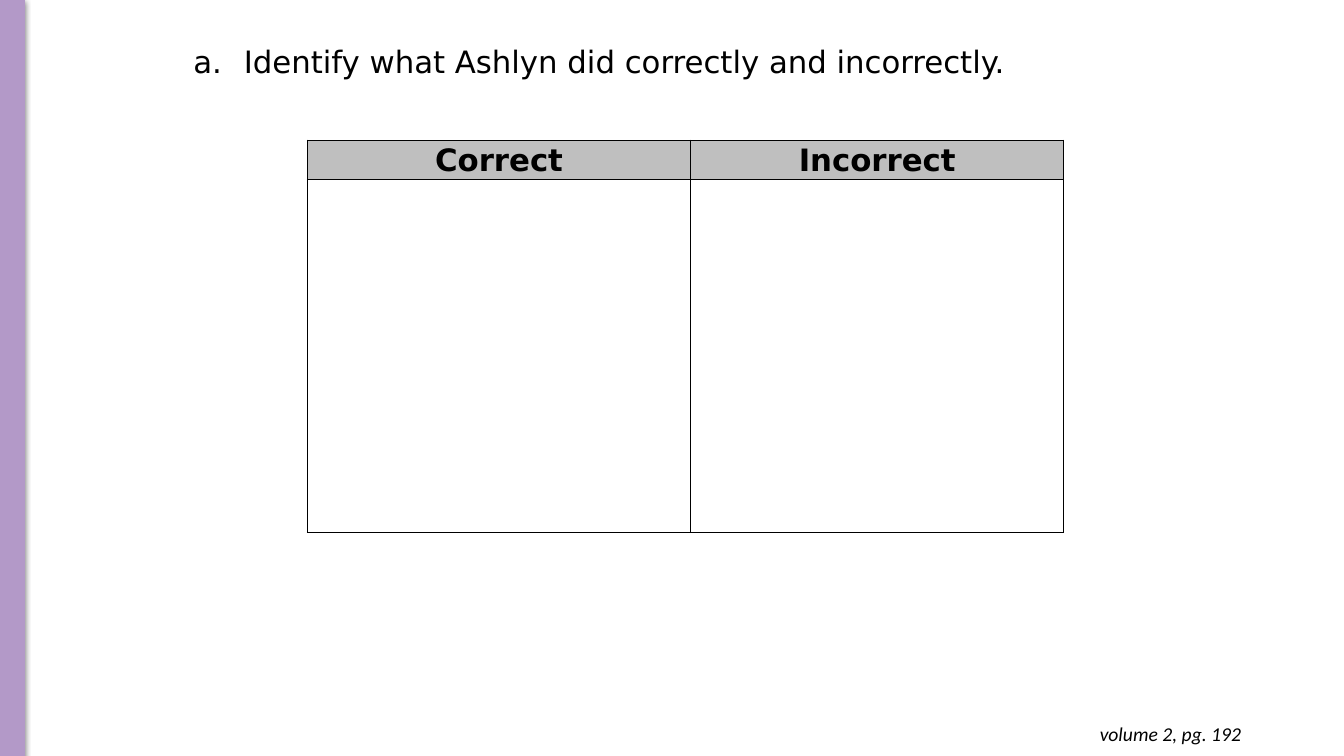
from lxml import etree
from pptx import Presentation
from pptx.dml.color import RGBColor
from pptx.enum.shapes import MSO_SHAPE
from pptx.enum.text import MSO_ANCHOR, MSO_AUTO_SIZE, PP_ALIGN
from pptx.oxml.ns import qn
from pptx.util import Inches, Pt

RECT = MSO_SHAPE.RECTANGLE
MIDDLE = MSO_ANCHOR.MIDDLE
GROW = MSO_AUTO_SIZE.SHAPE_TO_FIT_TEXT
LEFT, CENTER, RIGHT = PP_ALIGN.LEFT, PP_ALIGN.CENTER, PP_ALIGN.RIGHT

COLORS = {"band": "B399C8", "head": "BFBFBF", "ink": "000000"}


def add(parent, tag, **attrs):
    node = etree.SubElement(parent, qn(tag))
    for name, value in attrs.items():
        node.set(name, str(value))
    return node


class Page:
    """Holds the slide and its text style."""

    def __init__(self, slide, face, size):
        self.slide, self.face, self.size = slide, face, size

    def color(self, name):
        return RGBColor.from_string(COLORS[name])

    def style(self, para, align, face=None, size=None, bold=False, italic=False):
        para.alignment = align
        font = para.font
        font.name, font.size = face or self.face, Pt(size or self.size)
        font.bold, font.italic = bold, italic
        font.color.rgb = self.color("ink")

    def band(self, *box):
        shape = self.slide.shapes.add_shape(RECT, *map(Inches, box))
        shape.fill.solid()
        shape.fill.fore_color.rgb = self.color("band")
        shape.line.color.rgb = self.color("band")
        shape.line.width = Pt(0.75)
        shape.shadow.inherit = False
        effect = shape._element.spPr.find(qn("a:effectLst"))
        shadow = add(effect, "a:outerShdw", blurRad=Pt(4.5), dist=Pt(1.5),
                     dir=90 * 60000, rotWithShape=0)
        ink = add(shadow, "a:srgbClr", val=COLORS["ink"])
        add(ink, "a:alpha", val=50000)

    def text(self, words, box, align=LEFT, inset=0.05, number=None, **look):
        shape = self.slide.shapes.add_textbox(*map(Inches, box))
        frame = shape.text_frame
        frame.word_wrap, frame.auto_size = True, GROW
        frame.margin_top = frame.margin_bottom = Inches(inset)
        para = frame.paragraphs[0]
        para.text = words
        if number:
            props = para._p.get_or_add_pPr()
            props.set("marL", str(Inches(1)))
            props.set("indent", str(Inches(-0.5)))
            tint = add(props, "a:buClr")
            add(tint, "a:srgbClr", val=COLORS["ink"])
            add(props, "a:buFont", typeface=self.face)
            add(props, "a:buAutoNum", type=number)
        self.style(para, align, **look)

    def border(self, cell):
        props = cell._tc.get_or_add_tcPr()
        for side in "LRTB":
            line = add(props, f"a:ln{side}", w=Pt(1))
            fill = add(line, "a:solidFill")
            add(fill, "a:srgbClr", val=COLORS["ink"])

    def table(self, heads, left, top, widths, heights):
        frame = self.slide.shapes.add_table(
            len(heights), len(widths), Inches(left), Inches(top),
            Inches(sum(widths)), Inches(sum(heights)))
        table = frame.table
        table.first_row = table.horz_banding = False
        for col, width in zip(table.columns, widths):
            col.width = Inches(width)
        for row, height in zip(table.rows, heights):
            row.height = Inches(height)
        for cell in table.iter_cells():
            self.border(cell)
            cell.fill.background()
        for cell, words in zip(table.rows[0].cells, heads):
            cell.fill.solid()
            cell.fill.fore_color.rgb = self.color("head")
            cell.vertical_anchor = MIDDLE
            cell.margin_left = cell.margin_right = Inches(0.07)
            cell.margin_top = cell.margin_bottom = 0
            cell.text = words
            para = cell.text_frame.paragraphs[0]
            para.line_spacing = 1.07
            self.style(para, CENTER, bold=True)


def main():
    deck = Presentation()
    deck.slide_width, deck.slide_height = Inches(13.33), Inches(7.5)
    page = Page(deck.slides.add_slide(deck.slide_layouts[6]), "DejaVu Sans", 22)

    # Side band
    page.band(0, 0, 0.24, 7.51)

    # Question
    page.text("Identify what Ashlyn did correctly and incorrectly.",
              (1.32, 0.37, 10.7, 0.47), number="alphaLcPeriod")

    # Answer table
    page.table(["Correct", "Incorrect"], 3.05, 1.39, [3.8, 3.7], [0.36, 3.5])

    # Page reference
    page.text("volume 2, pg. 192", (9.53, 7.06, 2.88, 0.44), RIGHT, 0.1,
              face="Calibri", size=14, italic=True)

    deck.save("out.pptx")


if __name__ == "__main__":
    main()
